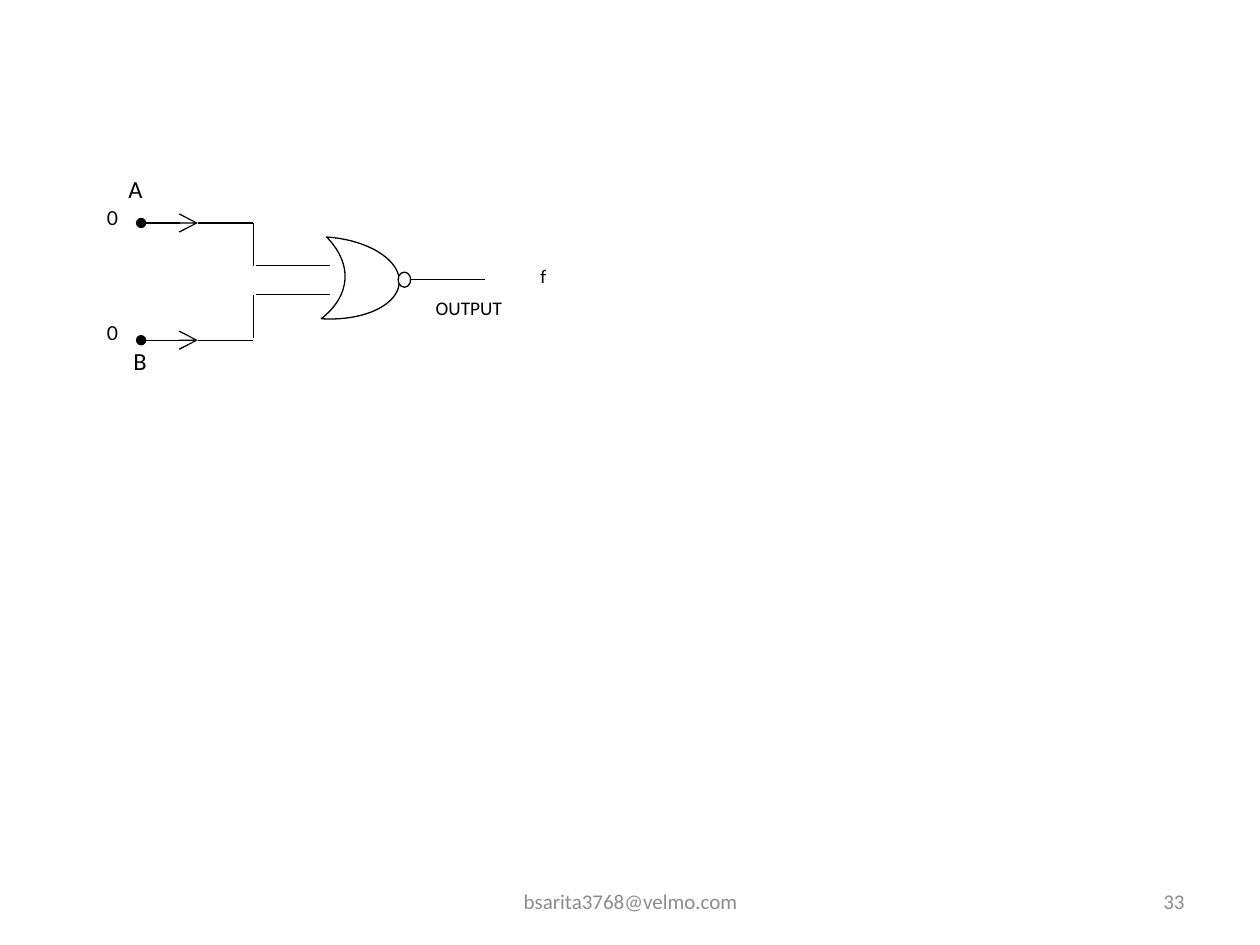
"""Build a slide showing a NOR gate with both inputs at 0."""
from lxml.etree import SubElement
from pptx import Presentation
from pptx.dml.color import RGBColor
from pptx.enum.shapes import MSO_CONNECTOR as Connector, MSO_SHAPE as Shape
from pptx.enum.text import MSO_ANCHOR as Anchor, PP_ALIGN as Align
from pptx.oxml.ns import qn
from pptx.util import Inches, Pt

COLORS = {"ink": "000000", "paper": "FFFFFF", "footer": "8C8C8C"}
LINE_WIDTH = Pt(0.75)

FOOTERS = [
    ("bsarita3768@velmo.com", (3.42, 6.95, 3.17, 0.4), Align.CENTER),
    ("33", (7.17, 6.95, 2.33, 0.4), Align.RIGHT),
]
LABELS = [
    ("B", (0.96, 2.7, 0.45, 0.51), 14, "Calibri"),
    ("OUTPUT", (3.36, 2.3, 1.04, 0.51), 11, "Calibri"),
    ("0", (0.75, 2.5, 0.3, 0.34), 11, "Lato"),
    ("A", (0.92, 1.33, 0.45, 0.51), 14, "Calibri"),
    ("0", (0.75, 1.59, 0.3, 0.34), 11, "Lato"),
    ("f", (4.19, 2.05, 0.3, 0.34), 11, "Calibri"),
]
GATE = (2.57, 1.9, 0.6, 0.65)
BUBBLE = (3.16, 2.16, 0.1, 0.12)
OUTPUT_WIRE = ((3.25, 2.22), (3.85, 2.22))
TERMINAL_X, ARROW_X, BEND_X, PIN_X, GATE_X = 1.12, 1.57, 2.01, 2.03, 2.62
INPUTS = [
    {"terminal": 1.77, "pin": 2.11, "riser": (1.77, 2.11)},
    {"terminal": 2.7, "pin": 2.34, "riser": (2.34, 2.68)},
]

deck = Presentation()
deck.slide_width, deck.slide_height = Inches(10), Inches(7.5)
slide = deck.slides.add_slide(deck.slide_layouts[6])


def color(name):
    return RGBColor.from_string(COLORS[name])


def add_outline(kind, box, outlined=True):
    shape = slide.shapes.add_shape(kind, *map(Inches, box))
    shape.shadow.inherit = False
    shape.fill.solid()
    shape.fill.fore_color.rgb = color("paper")
    if outlined:
        shape.line.color.rgb = color("ink")
        shape.line.width = LINE_WIDTH
    else:
        shape.line.fill.background()
    return shape


def write(shape, text, size=12, font="Calibri", ink="ink",
          align=Align.LEFT, anchor=Anchor.TOP, after=0):
    frame = shape.text_frame
    frame.word_wrap = True
    frame.vertical_anchor = anchor
    paragraph = frame.paragraphs[0]
    paragraph.text = text
    paragraph.alignment = align
    paragraph.space_after = Pt(after)
    paragraph.font.size = Pt(size)
    paragraph.font.name = font
    paragraph.font.color.rgb = color(ink)


def add_wire(start, end, arrow=False):
    wire = slide.shapes.add_connector(Connector.STRAIGHT, *map(Inches, start + end))
    wire.line.color.rgb = color("ink")
    wire.line.width = LINE_WIDTH
    if arrow:
        outline = wire.line._get_or_add_ln()
        SubElement(outline, qn("a:headEnd"), type="oval")
        SubElement(outline, qn("a:tailEnd"), type="arrow", w="lg", len="lg")
    SubElement(wire._element.spPr, qn("a:effectLst"))


for text, box, align in FOOTERS:
    write(slide.shapes.add_textbox(*map(Inches, box)), text,
          ink="footer", align=align, anchor=Anchor.MIDDLE)

gate = add_outline(Shape.MOON, GATE)
gate.adjustments[0] = 0.72
gate.rotation = 183.7

for text, box, size, font in LABELS:
    write(add_outline(Shape.RECTANGLE, box, outlined=False), text,
          size=size, font=font, after=10)

for source in INPUTS:
    terminal, pin = source["terminal"], source["pin"]
    top, bottom = source["riser"]
    add_wire((TERMINAL_X, terminal), (ARROW_X, terminal), arrow=True)
    add_wire((ARROW_X, terminal), (BEND_X, terminal))
    add_wire((BEND_X, top), (BEND_X, bottom))
    add_wire((PIN_X, pin), (GATE_X, pin))

add_outline(Shape.OVAL, BUBBLE)
add_wire(*OUTPUT_WIRE)

deck.save("out.pptx")
